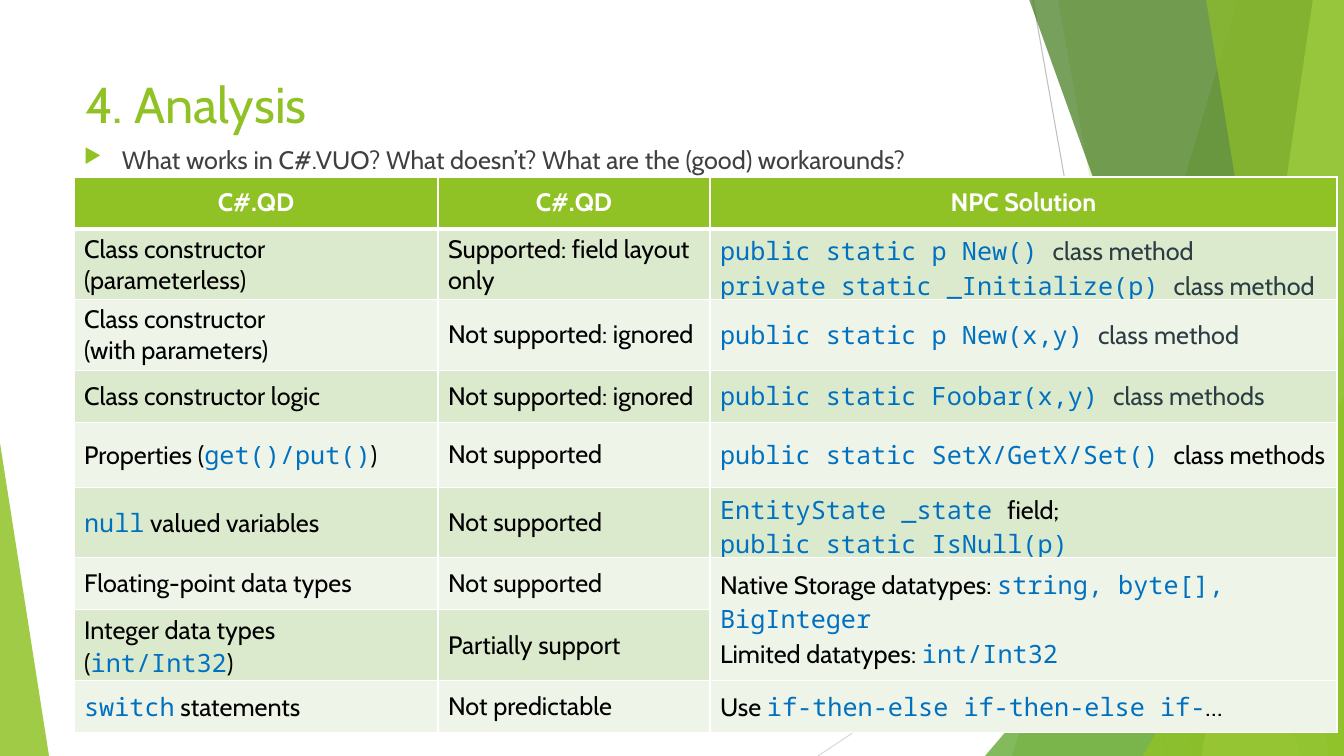
from lxml import etree
from pptx import Presentation
from pptx.dml.color import RGBColor
from pptx.enum.shapes import MSO_CONNECTOR, MSO_SHAPE
from pptx.enum.text import MSO_ANCHOR, PP_ALIGN
from pptx.oxml.ns import qn
from pptx.util import Pt

STRAIGHT = MSO_CONNECTOR.STRAIGHT
TRIANGLE = MSO_SHAPE.ISOSCELES_TRIANGLE
TOP, MIDDLE = MSO_ANCHOR.TOP, MSO_ANCHOR.MIDDLE
LEFT, CENTER = PP_ALIGN.LEFT, PP_ALIGN.CENTER

WIDTH, HEIGHT = 1344, 756
FONT, MONO = "Cabin", "Noto Sans Mono"
COLORS = {
    "lime": "90C226", "leaf": "54A021", "forest": "3F7819", "pale": "C0E474",
    "gray": "BFBFBF", "light_gray": "D9D9D9", "white": "FFFFFF", "black": "000000",
    "text": "404040", "code": "0070C0", "slate": "2C3C43",
    "band_odd": "DBE9CD", "band_even": "EEF4E8",
}

# Content: backticks enclose code, \n starts a paragraph, \v breaks a line
TITLE = "4. Analysis"
QUESTION = "What works in C#.VUO? What doesn’t? What are the (good) workarounds?"
ROWS = [
    ("C#.QD", "C#.QD", "NPC Solution"),
    ("Class constructor\n(parameterless)", "Supported: field layout only",
     "`public static p New() `class method\n`private static _Initialize(p) `class method"),
    ("Class constructor\v(with parameters)", "Not supported: ignored",
     "`public static p New(x,y) `class method"),
    ("Class constructor logic", "Not supported: ignored",
     "`public static Foobar(x,y) `class methods"),
    ("Properties (`get()/put()`)", "Not supported",
     "`public static SetX/GetX/Set() `class methods"),
    ("`null` valued variables", "Not supported",
     "`EntityState _state `field;\v`public static IsNull(p)`"),
    ("Floating-point data types", "Not supported",
     "Native Storage datatypes: `string, byte[], BigInteger`\nLimited datatypes: `int/Int32`"),
    ("Integer data types (`int/Int32`)", "Partially support", ""),
    ("`switch` statements", "Not predictable", "Use `if-then-else if-then-else if-`…"),
]
COLUMN_WIDTHS = [364, 272, 627]
ROW_HEIGHTS = [52, 65, 65, 52, 65, 65, 52, 52, 52]
SLATE_CELLS = {(1, 2), (2, 2), (3, 2)}
MERGED_ROWS = (6, 7)

# Decoration, from back to front
LINES = [((1033, 0), (1167, HEIGHT), "gray"), ((WIDTH, 406), (818, HEIGHT), "light_gray")]
# Slabs: left edge at top, left edge at bottom, colour, opacity
# Triangles: box, apex position, colour, opacity
DECORATION = [
    ("slab", (1238, 1012), "lime", 30),
    ("slab", (1058, 1192), "lime", 20),
    ("triangle", (985, 336, 359, 420, 1), "leaf", 72),
    ("slab", (1029, 1301), "forest", 70),
    ("slab", (1313, 1202), "pale", 70),
    ("slab", (1206, 1329), "lime", 65),
    ("triangle", (1143, 396, 201, 360, 1), "lime", 80),
    ("triangle", (0, 443, 49, 313, 0), "lime", 85),
]


def px(length):
    return round(length * 914400 / 100.8)


def color(name):
    return RGBColor.from_string(COLORS[name])


def add_element(parent, tag, **attributes):
    return etree.SubElement(parent, qn(tag), attributes)


def set_font(font, size, color_name, bold=False):
    font.name, font.size, font.bold = FONT, Pt(size), bold
    font.color.rgb = color(color_name)


def add_line(start, end, color_name):
    line = slide.shapes.add_connector(STRAIGHT, *map(px, start + end))
    line.line.color.rgb = color(color_name)
    line.line.width = Pt(0.75)
    add_element(line.element.spPr, "a:effectLst")


def add_decoration(kind, geometry, color_name, opacity):
    if kind == "slab":
        top_left, bottom_left = geometry
        builder = slide.shapes.build_freeform(px(top_left), px(-1))
        corners = [(WIDTH, -1), (WIDTH, HEIGHT), (bottom_left, HEIGHT)]
        builder.add_line_segments([(px(x), px(y)) for x, y in corners])
        shape = builder.convert_to_shape()
    else:
        *box, apex = geometry
        shape = slide.shapes.add_shape(TRIANGLE, *map(px, box))
        shape.adjustments[0] = apex
    shape.shadow.inherit = False
    shape.line.fill.background()
    shape.fill.solid()
    shape.fill.fore_color.rgb = color(color_name)
    rgb = shape.element.spPr.find(qn("a:solidFill")).find(qn("a:srgbClr"))
    add_element(rgb, "a:alpha", val=str(opacity * 1000))


def fill_paragraph(paragraph, text, plain_color):
    for index, part in enumerate(text.split("`")):
        is_code = index % 2 == 1
        for line_index, piece in enumerate(part.split("\v")):
            if line_index:
                paragraph.add_line_break()
            if piece:
                run = paragraph.add_run()
                run.text = piece
                set_font(run.font, 18, "code" if is_code else plain_color)
                if is_code:
                    run.font.name = MONO


def style_cell(cell, row):
    widths = {"L": 1, "R": 1, "T": 3 if row == 1 else 1, "B": 3 if row == 0 else 1}
    properties = cell._tc.get_or_add_tcPr()
    for side, width in widths.items():
        border = add_element(properties, f"a:ln{side}", w=str(Pt(width)))
        add_element(add_element(border, "a:solidFill"), "a:srgbClr", val=COLORS["white"])
    cell.fill.solid()
    band = "lime" if row == 0 else "band_odd" if row % 2 else "band_even"
    cell.fill.fore_color.rgb = color(band)
    cell.vertical_anchor = MIDDLE


presentation = Presentation()
presentation.slide_width, presentation.slide_height = px(WIDTH), px(HEIGHT)
slide = presentation.slides.add_slide(presentation.slide_layouts[5])

for line in LINES:
    add_line(*line)
for item in DECORATION:
    add_decoration(*item)

# Title
title = slide.shapes.title
title.left, title.top, title.width, title.height = map(px, (75, 68, 948, 145))
title.text_frame.text = TITLE
title.text_frame.vertical_anchor = TOP
title.text_frame.paragraphs[0].alignment = LEFT
set_font(title.text_frame.paragraphs[0].font, 36, "lime")

# Bulleted question
question = slide.shapes.add_textbox(*map(px, (74, 139, 948, 38)))
question.text_frame.word_wrap = True
paragraph = question.text_frame.paragraphs[0]
paragraph.text = QUESTION
properties = paragraph._p.get_or_add_pPr()
properties.set("marL", str(px(38)))
properties.set("indent", str(px(-38)))
add_element(add_element(properties, "a:buClr"), "a:srgbClr", val=COLORS["lime"])
add_element(properties, "a:buSzPct", val="80000")
add_element(properties, "a:buChar", char="▶")
set_font(paragraph.font, 18, "text")

# Comparison table
table = slide.shapes.add_table(
    len(ROWS), len(COLUMN_WIDTHS),
    *map(px, (74, 177, sum(COLUMN_WIDTHS), sum(ROW_HEIGHTS)))).table
table.horz_banding = False
for column, width in zip(table.columns, COLUMN_WIDTHS):
    column.width = px(width)
for table_row, height in zip(table.rows, ROW_HEIGHTS):
    table_row.height = px(height)
first, last = MERGED_ROWS
table.cell(first, 2).merge(table.cell(last, 2))

for row, texts in enumerate(ROWS):
    for column, text in enumerate(texts):
        cell = table.cell(row, column)
        style_cell(cell, row)
        frame = cell.text_frame
        if row == 0:
            frame.text = text
            frame.paragraphs[0].alignment = CENTER
            set_font(frame.paragraphs[0].font, 18, "white", bold=True)
            continue
        plain_color = "slate" if (row, column) in SLATE_CELLS else "black"
        for index, line in enumerate(text.split("\n")):
            paragraph = frame.add_paragraph() if index else frame.paragraphs[0]
            paragraph.font.size = Pt(18)
            fill_paragraph(paragraph, line, plain_color)

presentation.save("out.pptx")
